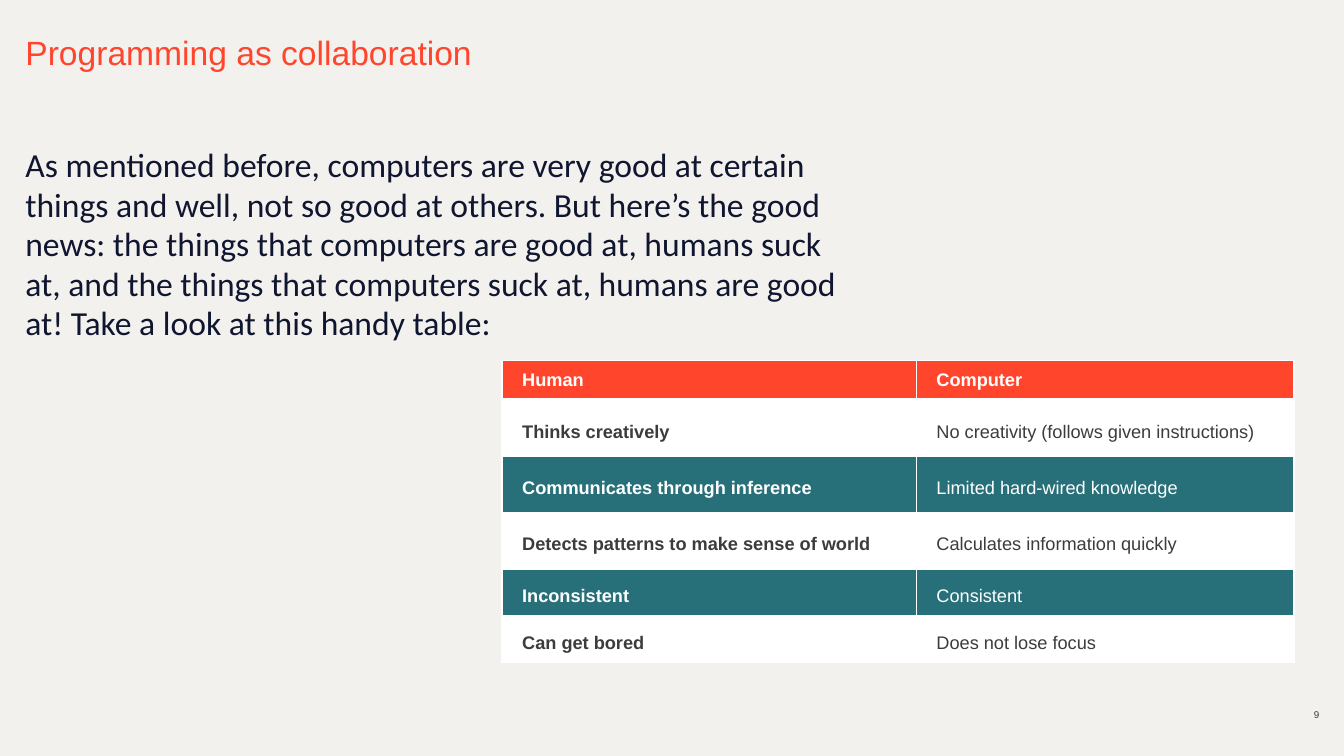
import pptx
import pptx.util
import pptx.dml.color
import pptx.enum.text
import pptx.oxml

Cm, Pt = pptx.util.Cm, pptx.util.Pt
RGB = pptx.dml.color.RGBColor.from_string
ALIGN, ANCHOR = pptx.enum.text.PP_ALIGN, pptx.enum.text.MSO_ANCHOR

THEME = {
    "back": "F2F1EE", "red": "FF462D", "teal": "287079", "white": "FFFFFF",
    "navy": "10162F", "grey": "3D3C3C", "page": "3D3B3B",
    "large": 24, "cell": 13, "small": 7,
}


def write(frame, text, size, color, font="Arial", bold=False, **para):
    """Put one formatted paragraph in a text frame; para holds paragraph formats."""
    line = frame.paragraphs[0]
    for key, value in para.items():
        setattr(line, key, value)
    run = line.add_run()
    run.text = text
    look = {"name": font, "size": Pt(THEME[size]), "bold": bold}
    for key, value in look.items():
        setattr(run.font, key, value)
    run.font.color.rgb = RGB(THEME[color])


def place(shape, left, top, width, height, anchor=ANCHOR.TOP):
    """Set a text shape's box in cm and clear its margins."""
    box = {"left": left, "top": top, "width": width, "height": height}
    for key, value in box.items():
        setattr(shape, key, Cm(value))
    frame = shape.text_frame
    look = {"margin_left": 0, "margin_top": 0, "margin_right": 0,
            "margin_bottom": 0, "word_wrap": True, "vertical_anchor": anchor,
            "auto_size": pptx.enum.text.MSO_AUTO_SIZE.NONE}
    for key, value in look.items():
        setattr(frame, key, value)
    return frame


deck = pptx.Presentation()
deck.slide_width, deck.slide_height = Cm(33.87), Cm(19.05)
slide = deck.slides.add_slide(deck.slide_layouts[5])
fill = slide.background.fill
fill.solid()
fill.fore_color.rgb = RGB(THEME["back"])

# Title, body text and page number
title = place(slide.shapes.title, 0.64, 0.81, 20.52, 0.79)
write(title, "Programming as collaboration", "large", "red", alignment=ALIGN.LEFT)

body = place(slide.shapes.add_textbox(0, 0, 0, 0), 0.64, 3.68, 20.73, 13.06)
write(body, "As mentioned before, computers are very good at certain things and "
      "well, not so good at others. But here’s the good news: the things that "
      "computers are good at, humans suck at, and the things that computers suck "
      "at, humans are good at! Take a look at this handy table:",
      "large", "navy", "Calibri", space_before=Pt(10), line_spacing=0.98)

page = place(slide.shapes.add_textbox(0, 0, 0, 0), 32.54, 17.55, 0.71, 0.61,
             ANCHOR.BOTTOM)
write(page, "9", "small", "page", alignment=ALIGN.RIGHT)

# Table of human and computer strengths
ROWS = [
    ("Human", "Computer", 0.99),
    ("Thinks creatively", "No creativity (follows given instructions)", 1.42),
    ("Communicates through inference", "Limited hard-wired knowledge", 1.42),
    ("Detects patterns to make sense of world", "Calculates information quickly", 1.42),
    ("Inconsistent", "Consistent", 1.17),
    ("Can get bored", "Does not lose focus", 1.19),
]
WIDTHS = [10.44, 9.52]
grid = slide.shapes.add_table(
    len(ROWS), len(WIDTHS), Cm(12.65), Cm(9.09),
    Cm(sum(WIDTHS)), Cm(sum(row[-1] for row in ROWS))).table
for col, width in zip(grid.columns, WIDTHS):
    col.width = Cm(width)

for r, (*texts, height) in enumerate(ROWS):
    grid.rows[r].height = Cm(height)
    head = r == 0
    shade = "red" if head else "white" if r % 2 else "teal"
    ink = "grey" if shade == "white" else "white"
    for c, text in enumerate(texts):
        cell = grid.cell(r, c)
        look = {"margin_left": Cm(0.51), "margin_right": Cm(0.25),
                "margin_top": Cm(0.2 if head else 0.38),
                "margin_bottom": Cm(0.2), "vertical_anchor": ANCHOR.MIDDLE}
        for key, value in look.items():
            setattr(cell, key, value)
        cell.fill.solid()
        cell.fill.fore_color.rgb = RGB(THEME[shade])
        write(cell.text_frame, text, "cell", ink, bold=head or c == 0)
        # Borders go before the fill in the cell properties
        props = cell._tc.get_or_add_tcPr()
        for i, side in enumerate("LRTB"):
            thick = (head and side == "B") or (r == 1 and side == "T")
            props.insert(i, pptx.oxml.parse_xml(
                f'<a:ln{side} xmlns:a="http://schemas.openxmlformats.org/drawingml/2006/main"'
                f' w="{Pt(3 if thick else 1)}"><a:solidFill>'
                f'<a:srgbClr val="{THEME["white"]}"/></a:solidFill></a:ln{side}>'))

deck.save("out.pptx")
